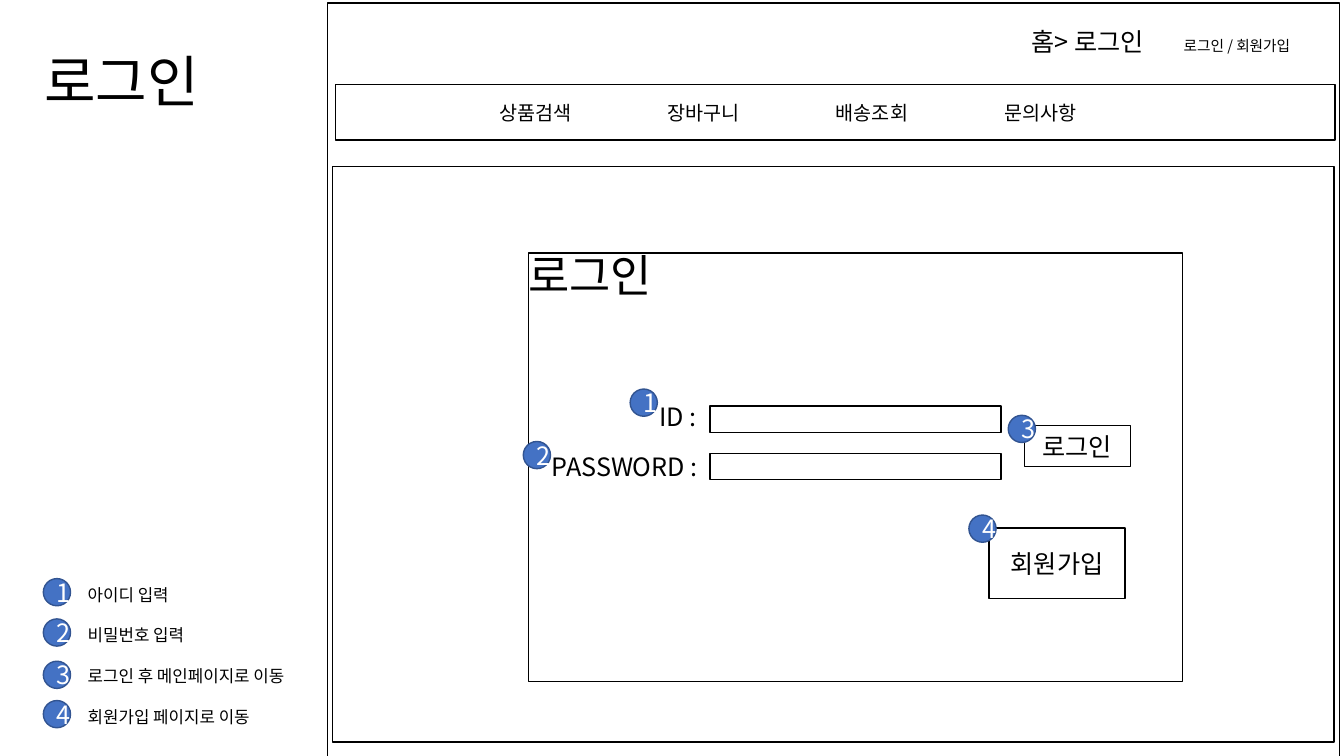
from typing import NamedTuple, Optional

from lxml.etree import SubElement
from pptx import Presentation
from pptx.dml.color import RGBColor
from pptx.enum.shapes import MSO_SHAPE as Preset
from pptx.enum.text import MSO_ANCHOR as Anchor
from pptx.enum.text import MSO_AUTO_SIZE as AutoSize
from pptx.enum.text import PP_ALIGN as Align
from pptx.oxml.ns import qn
from pptx.util import Inches, Pt

FONT = "Noto Sans CJK KR"
BLACK, WHITE, BLUE, NAVY = "000000", "FFFFFF", "4472C4", "325491"
BADGE_SIZE = 0.27
MENU_STEP = 1.67


class Box(NamedTuple):
    left: float
    top: float
    width: float
    height: float
    text: str = ""
    line: float = 1


class Label(NamedTuple):
    left: float
    top: float
    width: float
    height: float
    text: str
    size: float


class Badge(NamedTuple):
    number: int
    left: float
    top: float


PAGE_FRAME = Box(3.25, 0.03, 10.04, 7.52, line=0)
MENU_BAR = Box(3.33, 0.84, 9.91, 0.55)
BOXES = [
    Box(3.3, 1.65, 9.93, 5.71),
    Box(5.24, 2.51, 6.49, 4.25),
    Box(7.04, 4.03, 2.89, 0.26),
    Box(7.04, 4.5, 2.89, 0.26),
    Box(10.16, 4.22, 1.05, 0.41, "로그인"),
    Box(9.81, 5.24, 1.35, 0.7, "회원가입"),
]
LABELS = [
    Label(6.54, 3.98, 0.49, 0.3, "ID :", 18),
    Label(5.47, 4.48, 1.55, 0.3, "PASSWORD :", 18),
    Label(5.24, 2.46, 5, 0.54, "로그인", 32),
]
MENU = ["상품검색", "장바구니", "배송조회", "문의사항"]
LEGEND = ["아이디 입력", "비밀번호 입력", "로그인 후 메인페이지로 이동", "회원가입 페이지로 이동"]
BADGES = [
    *(Badge(number, 0.43, top) for number, top in enumerate((5.74, 6.14, 6.56, 6.95), 1)),
    Badge(1, 6.25, 3.86),
    Badge(2, 5.19, 4.38),
    Badge(3, 10, 4.12),
    Badge(4, 9.61, 5.11),
]


def color(value: str) -> RGBColor:
    return RGBColor.from_string(value)


def write(paragraph, text: str, *, size: float = 18, ink: str = BLACK,
          align: Align = Align.LEFT) -> None:
    """Append a formatted run to the paragraph."""
    paragraph.alignment = align
    run = paragraph.add_run()
    run.text = text
    run.font.size = Pt(size)
    run.font.name = FONT
    run.font.color.rgb = color(ink)
    SubElement(run.font._element, qn("a:ea"), typeface=FONT)


def set_tabs(paragraph, stops: list[float]) -> None:
    tab_list = SubElement(paragraph._p.get_or_add_pPr(), qn("a:tabLst"))
    for stop in stops:
        SubElement(tab_list, qn("a:tab"), pos=str(Inches(stop)), algn="l")


def add_preset(slide, preset: Preset, left: float, top: float, width: float, height: float, *,
               fill: str = WHITE, line: str = BLACK, line_width: float = 1):
    shape = slide.shapes.add_shape(
        preset, Inches(left), Inches(top), Inches(width), Inches(height))
    shape.shadow.inherit = False
    shape.fill.solid()
    shape.fill.fore_color.rgb = color(fill)
    shape.line.color.rgb = color(line)
    shape.line.width = Pt(line_width)
    shape.text_frame.vertical_anchor = Anchor.MIDDLE
    return shape


def add_box(slide, box: Box):
    shape = add_preset(slide, Preset.RECTANGLE, *box[:4], line_width=box.line)
    if box.text:
        write(shape.text_frame.paragraphs[0], box.text, align=Align.CENTER)
    return shape


def add_text_box(slide, left: float, top: float, width: float, height: float,
                 text: Optional[str] = None, size: float = 18):
    """Add a wrapping text box without insets and return its first paragraph."""
    frame = slide.shapes.add_textbox(
        Inches(left), Inches(top), Inches(width), Inches(height)).text_frame
    frame.word_wrap = True
    frame.margin_left = frame.margin_right = frame.margin_top = frame.margin_bottom = 0
    if text:
        write(frame.paragraphs[0], text, size=size)
    return frame.paragraphs[0]


def add_title(slide) -> None:
    title = slide.shapes.title
    title.left, title.top = Inches(0.34), Inches(0.41)
    title.width, title.height = Inches(2.6), Inches(0.78)
    title.text_frame.auto_size = AutoSize.NONE
    title.text_frame.vertical_anchor = Anchor.TOP
    write(title.text_frame.paragraphs[0], "로그인", size=40)


def add_menu(slide) -> None:
    frame = add_box(slide, MENU_BAR).text_frame
    frame.margin_left = Inches(1.62)
    write(frame.paragraphs[0], "\t".join(MENU), size=14)
    set_tabs(frame.paragraphs[0], [MENU_STEP * step for step in range(1, len(MENU))])


def add_breadcrumb(slide) -> None:
    paragraph = add_text_box(slide, 10.23, 0.26, 2.95, 0.31)
    write(paragraph, "홈> 로그인\t")
    write(paragraph, "로그인 / 회원가입", size=10.5)
    set_tabs(paragraph, [1.51])


def add_badge(slide, badge: Badge) -> None:
    shape = add_preset(slide, Preset.OVAL, badge.left, badge.top, BADGE_SIZE, BADGE_SIZE,
                       fill=BLUE, line=NAVY)
    write(shape.text_frame.paragraphs[0], str(badge.number), ink=WHITE, align=Align.CENTER)


def add_legend(slide) -> None:
    table = slide.shapes.add_table(
        len(LEGEND), 1, Inches(0.77), Inches(5.72), Inches(2.45), Inches(1.62)).table
    table.first_row = table.horz_banding = False
    for row, text in enumerate(LEGEND):
        cell = table.cell(row, 0)
        cell.fill.background()
        write(cell.text_frame.paragraphs[0], text, size=12)


def main() -> None:
    presentation = Presentation()
    presentation.slide_width, presentation.slide_height = Inches(13.33), Inches(7.5)
    slide = presentation.slides.add_slide(presentation.slide_layouts[5])
    add_title(slide)
    add_box(slide, PAGE_FRAME)
    add_menu(slide)
    add_breadcrumb(slide)
    for box in BOXES:
        add_box(slide, box)
    for label in LABELS:
        add_text_box(slide, *label)
    for badge in BADGES:
        add_badge(slide, badge)
    add_legend(slide)
    presentation.save("out.pptx")


if __name__ == "__main__":
    main()
